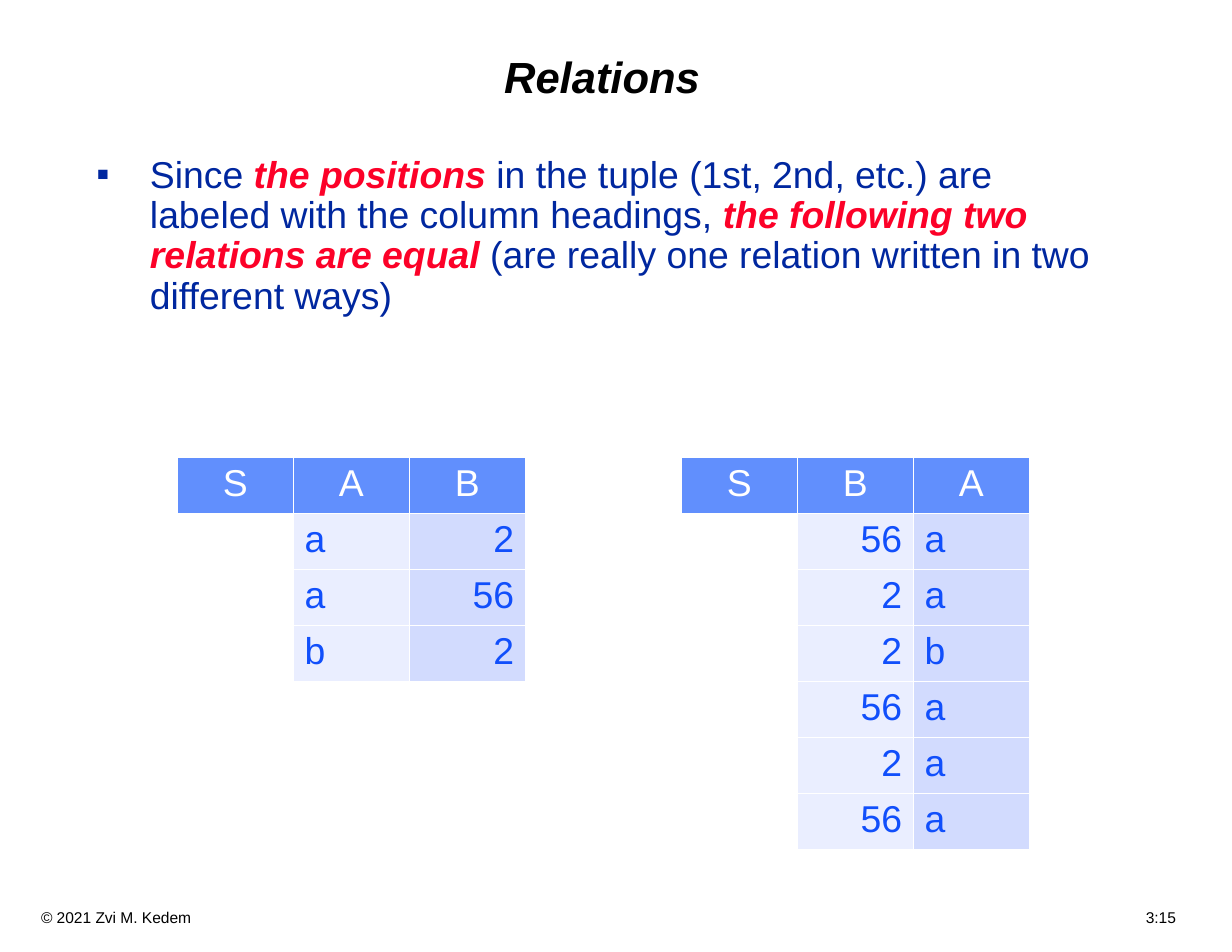
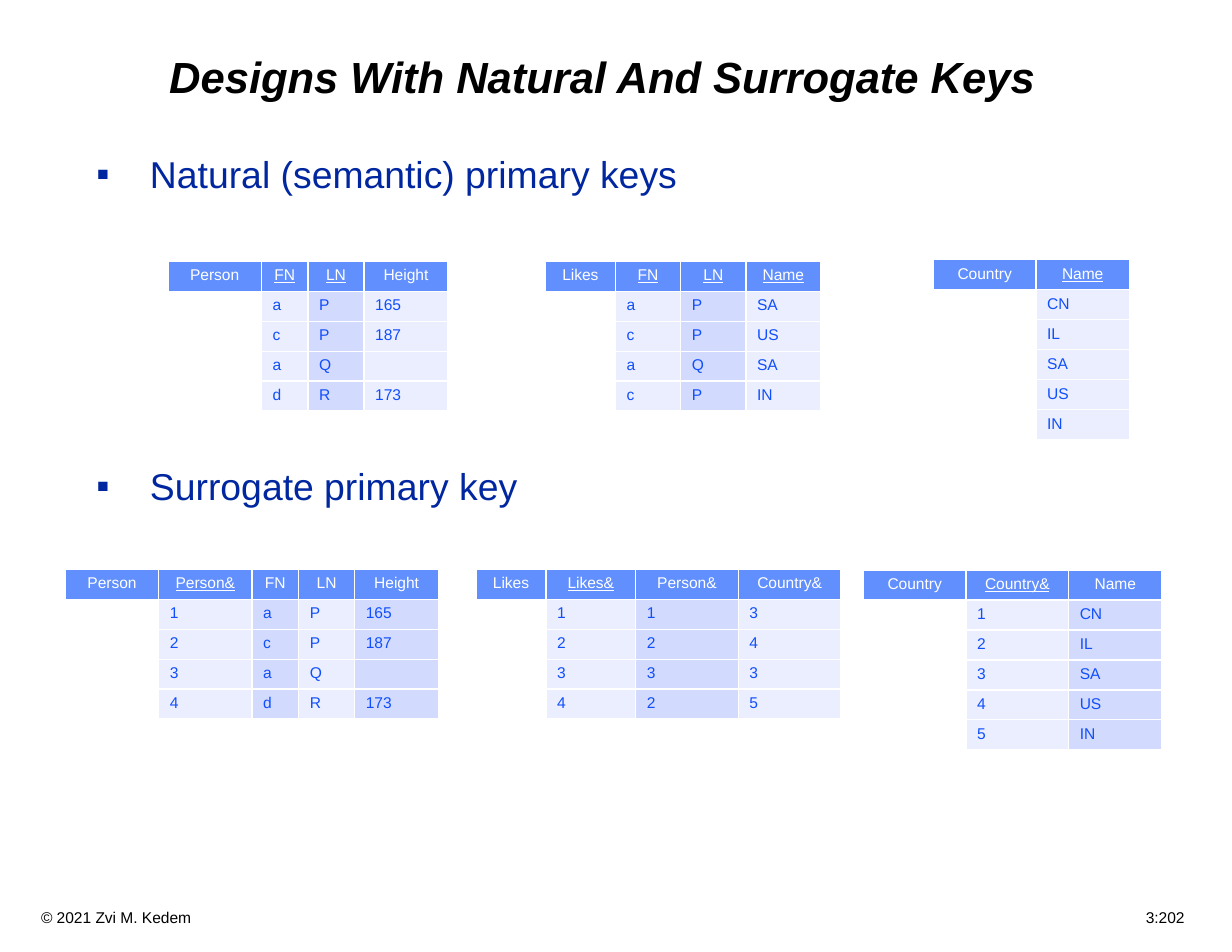
from lxml.etree import SubElement
from pptx import Presentation
from pptx.dml.color import RGBColor
from pptx.enum.text import MSO_ANCHOR as Anchor, PP_ALIGN as Align
from pptx.oxml.ns import qn
from pptx.util import Pt

FONT = "Arial"
BLACK = RGBColor(0x00, 0x00, 0x00)
WHITE = RGBColor(0xFF, 0xFF, 0xFF)
NAVY = RGBColor(0x00, 0x27, 0x9F)
RED = RGBColor(0xFC, 0x01, 0x28)
HEADER_BLUE = RGBColor(0x61, 0x8F, 0xFD)
CELL_BLUE = RGBColor(0x11, 0x4F, 0xFB)
COLUMN_TINTS = (RGBColor(0xEA, 0xEE, 0xFF), RGBColor(0xD2, 0xDB, 0xFE))

# Every second piece of a bullet is emphasised.
# Table: left, top, font size, row height, column widths, key columns, rows
PAGES = [
    ("Relations", "3:15",
     [["Since ", "the positions ",
       "in the tuple (1st, 2nd, etc.) are labeled with the column headings, ",
       "the following two relations are equal ",
       "(are really one relation written in two different ways)"]],
     [(114, 294, 24, 34, [74.6] * 3, [], ["S A B", "a 2", "a 56", "b 2"]),
      (438, 294, 24, 34, [74.6] * 3, [],
       ["S B A", "56 a", "2 a", "2 b", "56 a", "2 a", "56 a"])]),
    ("Designs With Natural And Surrogate Keys", "3:202",
     [["Natural (semantic) primary keys"], ["Surrogate primary key"]],
     [(108, 168, 10, 19.2, [60, 30, 36, 54], [1, 2],
       ["Person FN LN Height", "a P 165", "c P 187", "a Q", "d R 173"]),
      (350.6, 168, 10, 19.2, [45, 42, 42, 48], [1, 2, 3],
       ["Likes FN LN Name", "a P SA", "c P US", "a Q SA", "c P IN"]),
      (600, 167, 10, 19.2, [66, 60], [1],
       ["Country Name", "CN", "IL", "SA", "US", "IN"]),
      (42, 366, 10, 19.2, [60, 60, 30, 36, 54], [1],
       ["Person Person& FN LN Height", "1 a P 165", "2 c P 187", "3 a Q", "4 d R 173"]),
      (306, 366, 10, 19.2, [45, 57.6, 66, 66], [1],
       ["Likes Likes& Person& Country&", "1 1 3", "2 2 4", "3 3 3", "4 2 5"]),
      (555, 366.5, 10, 19.2, [66, 66, 60], [1],
       ["Country Country& Name", "1 CN", "2 IL", "3 SA", "4 US", "5 IN"])]),
]


def set_font(font, size, color, bold=False, italic=False):
    font.name, font.size = FONT, Pt(size)
    font.bold, font.italic = bold, italic
    font.color.rgb = color


def add_frame(slide, left, top, width, height):
    frame = slide.shapes.add_textbox(Pt(left), Pt(top), Pt(width), Pt(height)).text_frame
    frame.word_wrap = True
    return frame


prs = Presentation()
prs.slide_width, prs.slide_height = Pt(792), Pt(612)

for title, page_number, bullets, tables in PAGES:
    slide = prs.slides.add_slide(prs.slide_layouts[6])

    # Footer with the page number at a tab stop
    footer = add_frame(slide, 0, 580.3, 792, 19.4)
    footer.margin_left, footer.margin_right = Pt(26.4), 0
    notice = footer.paragraphs[0]
    notice.text = f"© 2021 Zvi M. Kedem\t{page_number}"
    stops = SubElement(notice._p.get_or_add_pPr(), qn("a:tabLst"))
    SubElement(stops, qn("a:tab"), pos=str(Pt(710.2)), algn="l")
    set_font(notice.font, 10, BLACK)

    # Title
    heading = add_frame(slide, 54, 18, 666, 66)
    heading.vertical_anchor = Anchor.MIDDLE
    heading_line = heading.paragraphs[0]
    heading_line.text = title
    heading_line.alignment = Align.CENTER
    heading_line.line_spacing = 0.9
    set_font(heading_line.font, 28, BLACK, bold=True, italic=True)

    # Bullets
    body = add_frame(slide, 54, 96, 672, 480)
    body.margin_left = body.margin_right = Pt(7.9)
    body.margin_top = body.margin_bottom = Pt(4.3)
    for number, pieces in enumerate(bullets):
        bullet = body.add_paragraph() if number else body.paragraphs[0]
        bullet.line_spacing = 0.9
        if number:
            bullet.space_before = Pt(174.5)
        props = bullet._p.get_or_add_pPr()
        props.set("marL", str(Pt(34.5)))
        props.set("indent", str(-Pt(34.5)))
        SubElement(SubElement(props, qn("a:buClr")), qn("a:srgbClr"), val=str(NAVY))
        SubElement(props, qn("a:buFont"), typeface=FONT)
        SubElement(props, qn("a:buChar"), char="▪")
        set_font(bullet.font, 24, NAVY)
        for position, piece in enumerate(pieces):
            run = bullet.add_run()
            run.text = piece
            if position % 2:
                set_font(run.font, 24, RED, bold=True, italic=True)

    # Relations: the name stands in the first header cell, above a blank column
    for left, top, size, row_height, widths, keys, lines in tables:
        relation = slide.shapes.add_table(
            len(lines), len(widths), Pt(left), Pt(top),
            Pt(sum(widths)), Pt(row_height * len(lines))).table
        relation.horz_banding = False
        for column, width in zip(relation.columns, widths):
            column.width = Pt(width)
        for r, line in enumerate(lines):
            relation.rows[r].height = Pt(row_height)
            values = line.split() if r == 0 else [""] + line.split()
            # A missing height falls in the last column before its value
            values += [""] * (len(widths) - len(values))
            for c, value in enumerate(values):
                cell = relation.cell(r, c)
                cell.fill.solid()
                entry = cell.text_frame.paragraphs[0]
                if r == 0:
                    cell.fill.fore_color.rgb = HEADER_BLUE
                    entry.alignment = Align.CENTER
                else:
                    cell.fill.fore_color.rgb = COLUMN_TINTS[(c - 1) % 2] if c else WHITE
                    if size == 24 and value.isdigit():
                        entry.alignment = Align.RIGHT
                set_font(entry.font, size, CELL_BLUE if r else WHITE)
                entry.font.underline = r == 0 and c in keys
                if value:
                    entry.add_run().text = value
                else:
                    SubElement(entry._p, qn("a:endParaRPr"), sz=str(size * 100))

prs.save("out.pptx")
